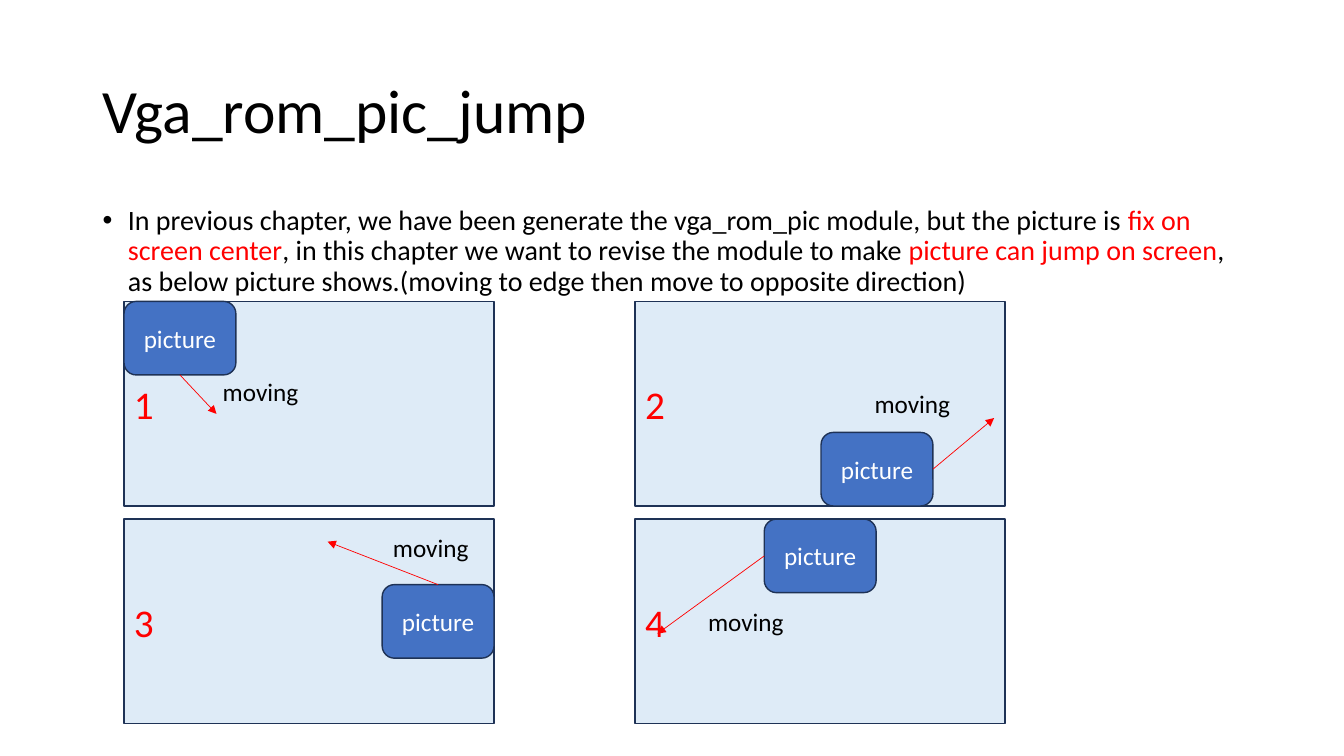
from dataclasses import dataclass

import lxml.etree
import pptx
import pptx.dml.color
import pptx.enum.shapes
import pptx.enum.text
import pptx.oxml.ns
import pptx.util

Inches = pptx.util.Inches
ShapeType = pptx.enum.shapes.MSO_SHAPE
Align = pptx.enum.text.PP_ALIGN
Anchor = pptx.enum.text.MSO_ANCHOR
qn = pptx.oxml.ns.qn
TOP, LEFT, BOTTOM, RIGHT = range(4)


@dataclass(frozen=True)
class Theme:
    font: str = "Calibri"
    ink: str = "000000"
    accent: str = "FF0000"
    paper: str = "FFFFFF"
    screen: str = "DEEBF7"
    picture: str = "4472C4"
    outline: str = "1E3256"
    title_size: float = 44
    body_size: float = 20
    number_size: float = 28
    label_size: float = 18


@dataclass(frozen=True)
class Box:
    left: float
    top: float
    width: float
    height: float

    def point(self, across, down):
        return self.left + across * self.width, self.top + down * self.height

    def inches(self):
        return [Inches(v) for v in (self.left, self.top, self.width, self.height)]


@dataclass(frozen=True)
class Step:
    """Places on a screen: picture as shares of its free room, the rest as shares of the screen."""
    picture: tuple
    side: int
    target: tuple
    label: tuple


THEME = Theme()
TITLE_BOX = Box(0.92, 0.4, 11.5, 1.45)
BODY_BOX = Box(0.92, 2, 11.5, 4.76)
SCREENS_BOX = Box(1.23, 2.99, 8.74, 4.19)
SCREEN_WIDTH, SCREEN_HEIGHT = 3.67, 2.03
PICTURE_WIDTH, PICTURE_HEIGHT = 1.11, 0.73
LABEL_WIDTH, LABEL_HEIGHT = 1.09, 0.4
COLUMNS = 2

BODY_RUNS = [
    ("In previous chapter, we have been generate the vga_rom_pic module, "
     "but the picture is ", THEME.ink),
    ("fix on screen center", THEME.accent),
    (", in this chapter we want to revise the module to make ", THEME.ink),
    ("picture can jump on screen", THEME.accent),
    (", as below picture shows.(moving to edge then move to opposite direction)", THEME.ink),
]
STEPS = [
    Step((0, 0), BOTTOM, (0.25, 0.55), (0.24, 0.34)),
    Step((0.72, 1), RIGHT, (0.97, 0.57), (0.62, 0.4)),
    Step((1, 0.5), TOP, (0.55, 0.11), (0.7, 0.04)),
    Step((0.5, 0), LEFT, (0.06, 0.56), (0.17, 0.4)),
]


def rgb(value):
    return pptx.dml.color.RGBColor.from_string(value)


def set_font(paragraph, size, color=None):
    paragraph.font.name = THEME.font
    paragraph.font.size = pptx.util.Pt(size)
    if color:
        paragraph.font.color.rgb = rgb(color)


def add_text_box(slide, box, anchor=Anchor.TOP):
    frame = slide.shapes.add_textbox(*box.inches()).text_frame
    frame.word_wrap = True
    frame.vertical_anchor = anchor
    return frame.paragraphs[0]


def add_title(slide, box):
    paragraph = add_text_box(slide, box, Anchor.MIDDLE)
    paragraph.text = "Vga_rom_pic_jump"
    paragraph.line_spacing = 0.9
    set_font(paragraph, THEME.title_size, THEME.ink)


def add_body(slide, box):
    paragraph = add_text_box(slide, box)
    paragraph.line_spacing = 0.9
    properties = paragraph._p.get_or_add_pPr()
    properties.set("marL", str(Inches(0.25)))
    properties.set("indent", str(-Inches(0.25)))
    lxml.etree.SubElement(properties, qn("a:buFont"), typeface="Arial")
    lxml.etree.SubElement(properties, qn("a:buChar"), char="•")
    set_font(paragraph, THEME.body_size)
    for text, color in BODY_RUNS:
        run = paragraph.add_run()
        run.text = text
        run.font.color.rgb = rgb(color)


def add_block(slide, kind, box, fill, text, size, color, align):
    shape = slide.shapes.add_shape(kind, *box.inches())
    shape.shadow.inherit = False
    shape.fill.solid()
    shape.fill.fore_color.rgb = rgb(fill)
    shape.line.color.rgb = rgb(THEME.outline)
    shape.line.width = pptx.util.Pt(1)
    shape.text_frame.vertical_anchor = Anchor.MIDDLE
    paragraph = shape.text_frame.paragraphs[0]
    paragraph.text = text
    paragraph.alignment = align
    set_font(paragraph, size, color)
    return shape


def add_arrow(slide, shape, side, target):
    end = [Inches(v) for v in target]
    arrow = slide.shapes.add_connector(
        pptx.enum.shapes.MSO_CONNECTOR.STRAIGHT, shape.left, shape.top, *end)
    arrow.begin_connect(shape, side)
    arrow.line.color.rgb = rgb(THEME.accent)
    arrow.line.width = pptx.util.Pt(0.5)
    lxml.etree.SubElement(arrow.line._get_or_add_ln(), qn("a:tailEnd"), type="triangle")
    lxml.etree.SubElement(arrow._element.spPr, qn("a:effectLst"))


def add_screen(slide, box, number, step):
    add_block(slide, ShapeType.RECTANGLE, box, THEME.screen, str(number),
              THEME.number_size, THEME.accent, Align.LEFT)
    room = Box(box.left, box.top, box.width - PICTURE_WIDTH, box.height - PICTURE_HEIGHT)
    picture = add_block(slide, ShapeType.ROUNDED_RECTANGLE,
                        Box(*room.point(*step.picture), PICTURE_WIDTH, PICTURE_HEIGHT),
                        THEME.picture, "picture", THEME.label_size, THEME.paper, Align.CENTER)
    add_arrow(slide, picture, step.side, box.point(*step.target))
    label = add_text_box(slide, Box(*box.point(*step.label), LABEL_WIDTH, LABEL_HEIGHT))
    label.text = "moving"
    set_font(label, THEME.label_size, THEME.ink)


def add_screens(slide, box):
    column_step = box.width - SCREEN_WIDTH
    row_step = box.height - SCREEN_HEIGHT
    for index, step in enumerate(STEPS):
        row, column = divmod(index, COLUMNS)
        screen = Box(box.left + column * column_step, box.top + row * row_step,
                     SCREEN_WIDTH, SCREEN_HEIGHT)
        add_screen(slide, screen, index + 1, step)


def main():
    presentation = pptx.Presentation()
    presentation.slide_width = Inches(13.33)
    presentation.slide_height = Inches(7.5)
    slide = presentation.slides.add_slide(presentation.slide_layouts[6])
    add_title(slide, TITLE_BOX)
    add_body(slide, BODY_BOX)
    add_screens(slide, SCREENS_BOX)
    presentation.save("out.pptx")


if __name__ == "__main__":
    main()
